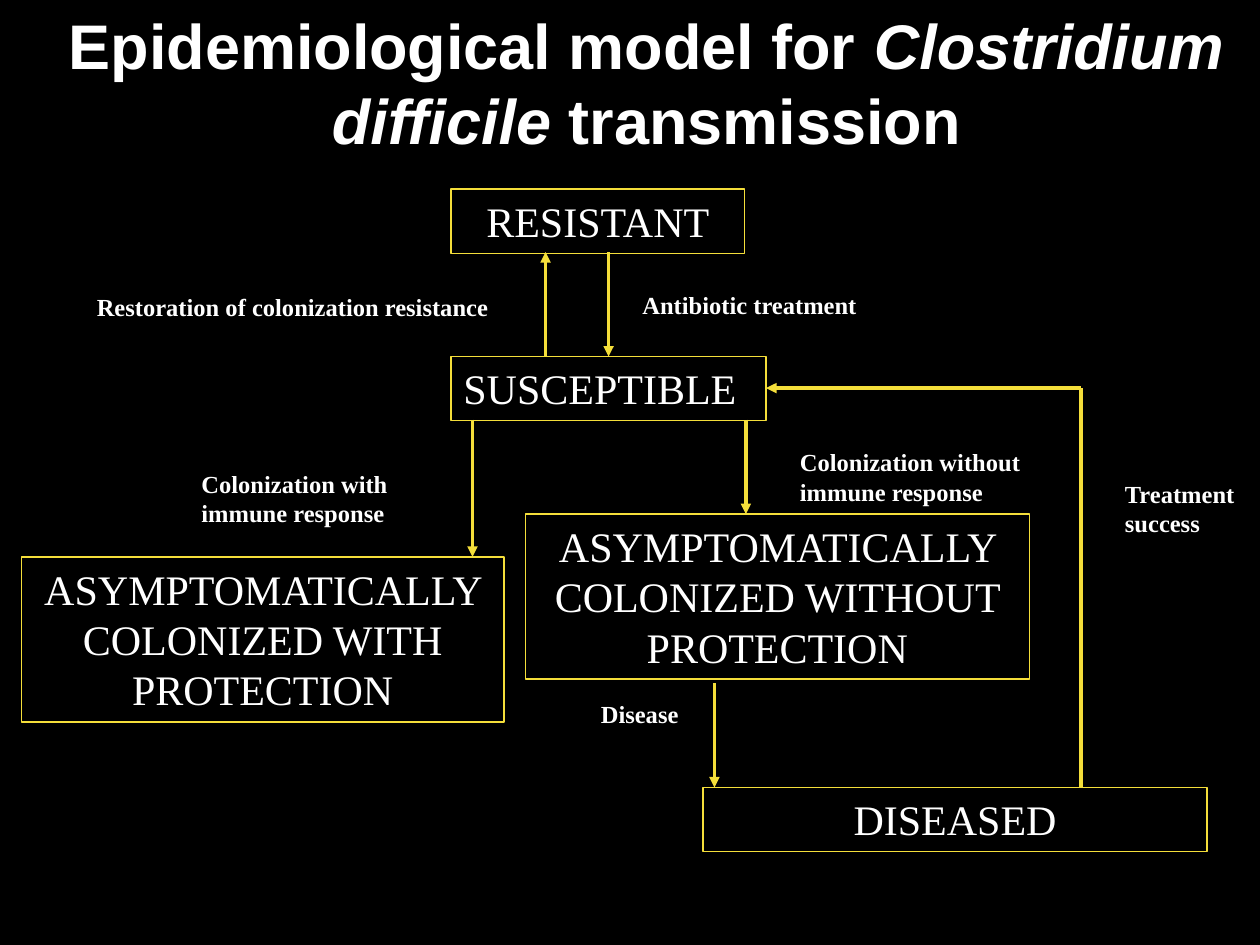
from dataclasses import dataclass

from lxml import etree
from pptx import Presentation
from pptx.dml.color import RGBColor
from pptx.enum.shapes import MSO_CONNECTOR, MSO_SHAPE
from pptx.enum.text import MSO_ANCHOR, PP_ALIGN
from pptx.oxml.ns import qn
from pptx.util import Inches, Pt

LEFT, CENTER = PP_ALIGN.LEFT, PP_ALIGN.CENTER
TOP = MSO_ANCHOR.TOP
RECTANGLE = MSO_SHAPE.RECTANGLE
STRAIGHT = MSO_CONNECTOR.STRAIGHT


@dataclass(frozen=True)
class Theme:
    """Colours, fonts and sizes of the slide."""
    background: RGBColor = RGBColor(0x00, 0x00, 0x00)
    text: RGBColor = RGBColor(0xFF, 0xFF, 0xFF)
    line: RGBColor = RGBColor(0xF4, 0xDE, 0x3A)
    title_font: str = "Arial"
    body_font: str = "Times New Roman"
    title_size: float = 36
    state_size: float = 24
    label_size: float = 14
    border_width: float = 0.75
    arrow_width: float = 2


@dataclass(frozen=True)
class State:
    """A boxed compartment of the model."""
    name: str
    left: float
    top: float
    width: float
    height: float = 0.51
    align: PP_ALIGN = CENTER


@dataclass(frozen=True)
class Transition:
    """A line between two points, usually with an arrowhead."""
    start: tuple[float, float]
    end: tuple[float, float]
    arrow: bool = True


@dataclass(frozen=True)
class Label:
    """The wording beside a transition."""
    wording: str
    left: float
    top: float
    width: float
    height: float = 0.57


THEME = Theme()

TITLE = [("Epidemiological model for ", False),
         ("Clostridium difficile", True),
         (" transmission", False)]

STATES = [
    State("RESISTANT", 3.58, 1.5, 2.33),
    State("SUSCEPTIBLE", 3.58, 2.83, 2.5, align=LEFT),
    State("ASYMPTOMATICALLY COLONIZED WITHOUT PROTECTION", 4.17, 4.08, 4, 1.31),
    State("ASYMPTOMATICALLY COLONIZED WITH PROTECTION", 0.17, 4.42, 3.83, 1.31),
    State("DISEASED", 5.58, 6.25, 4),
]

TRANSITIONS = [
    Transition((4.33, 2.83), (4.33, 2)),
    Transition((4.83, 2), (4.83, 2.83)),
    Transition((5.92, 3.33), (5.92, 4.08)),
    Transition((3.75, 3.33), (3.75, 4.42)),
    Transition((5.67, 5.42), (5.67, 6.25)),
    Transition((8.58, 6.25), (8.58, 3.08), arrow=False),
    Transition((8.58, 3.08), (6.08, 3.08)),
]

LABELS = [
    Label("Antibiotic treatment", 5, 2.25, 2, 0.33),
    Label("Colonization without immune response", 6.25, 3.5, 2),
    Label("Restoration of colonization resistance", 0.67, 2.27, 3.5, 0.33),
    Label("Treatment success", 8.83, 3.75, 1.33),
    Label("Colonization with immune response", 1.5, 3.67, 1.75),
    Label("Disease", 4.67, 5.5, 0.92, 0.33),
]


def write(shape, runs: list[tuple[str, bool]], *, size: float,
          font: str = THEME.body_font, bold: bool = False,
          align: PP_ALIGN = LEFT) -> None:
    """Fill a shape with one paragraph of (wording, italic) runs."""
    frame = shape.text_frame
    frame.word_wrap = True
    frame.vertical_anchor = TOP
    paragraph = frame.paragraphs[0]
    paragraph.alignment = align
    for wording, italic in runs:
        run = paragraph.add_run()
        run.text = wording
        run.font.name = font
        run.font.size = Pt(size)
        run.font.bold = bold
        run.font.italic = italic
        run.font.color.rgb = THEME.text


def add_state(slide, state: State) -> None:
    """Draw a compartment as an outlined box."""
    box = slide.shapes.add_shape(RECTANGLE, Inches(state.left), Inches(state.top),
                                 Inches(state.width), Inches(state.height))
    box.shadow.inherit = False
    box.fill.background()
    box.line.color.rgb = THEME.line
    box.line.width = Pt(THEME.border_width)
    write(box, [(state.name, False)], size=THEME.state_size, align=state.align)


def add_transition(slide, transition: Transition) -> None:
    """Draw a transition as a straight connector."""
    (x1, y1), (x2, y2) = transition.start, transition.end
    connector = slide.shapes.add_connector(
        STRAIGHT, Inches(x1), Inches(y1), Inches(x2), Inches(y2))
    connector.line.color.rgb = THEME.line
    connector.line.width = Pt(THEME.arrow_width)
    if transition.arrow:
        etree.SubElement(connector.line._get_or_add_ln(), qn("a:tailEnd"),
                         type="triangle")
    etree.SubElement(connector._element.spPr, qn("a:effectLst"))


def add_text(slide, left: float, top: float, width: float, height: float,
             runs: list[tuple[str, bool]], **text_format) -> None:
    """Place a text box and write its runs."""
    box = slide.shapes.add_textbox(Inches(left), Inches(top),
                                   Inches(width), Inches(height))
    write(box, runs, **text_format)


def main() -> None:
    """Build the slide and save it."""
    deck = Presentation()
    deck.slide_width, deck.slide_height = Inches(10), Inches(7.5)
    slide = deck.slides.add_slide(deck.slide_layouts[6])
    slide.background.fill.solid()
    slide.background.fill.fore_color.rgb = THEME.background

    add_text(slide, 0.42, 0, 9.42, 1.31, TITLE, size=THEME.title_size,
             font=THEME.title_font, bold=True, align=CENTER)
    for state in STATES:
        add_state(slide, state)
    for transition in TRANSITIONS:
        add_transition(slide, transition)
    for label in LABELS:
        add_text(slide, label.left, label.top, label.width, label.height,
                 [(label.wording, False)], size=THEME.label_size, bold=True)

    deck.save("out.pptx")


main()
